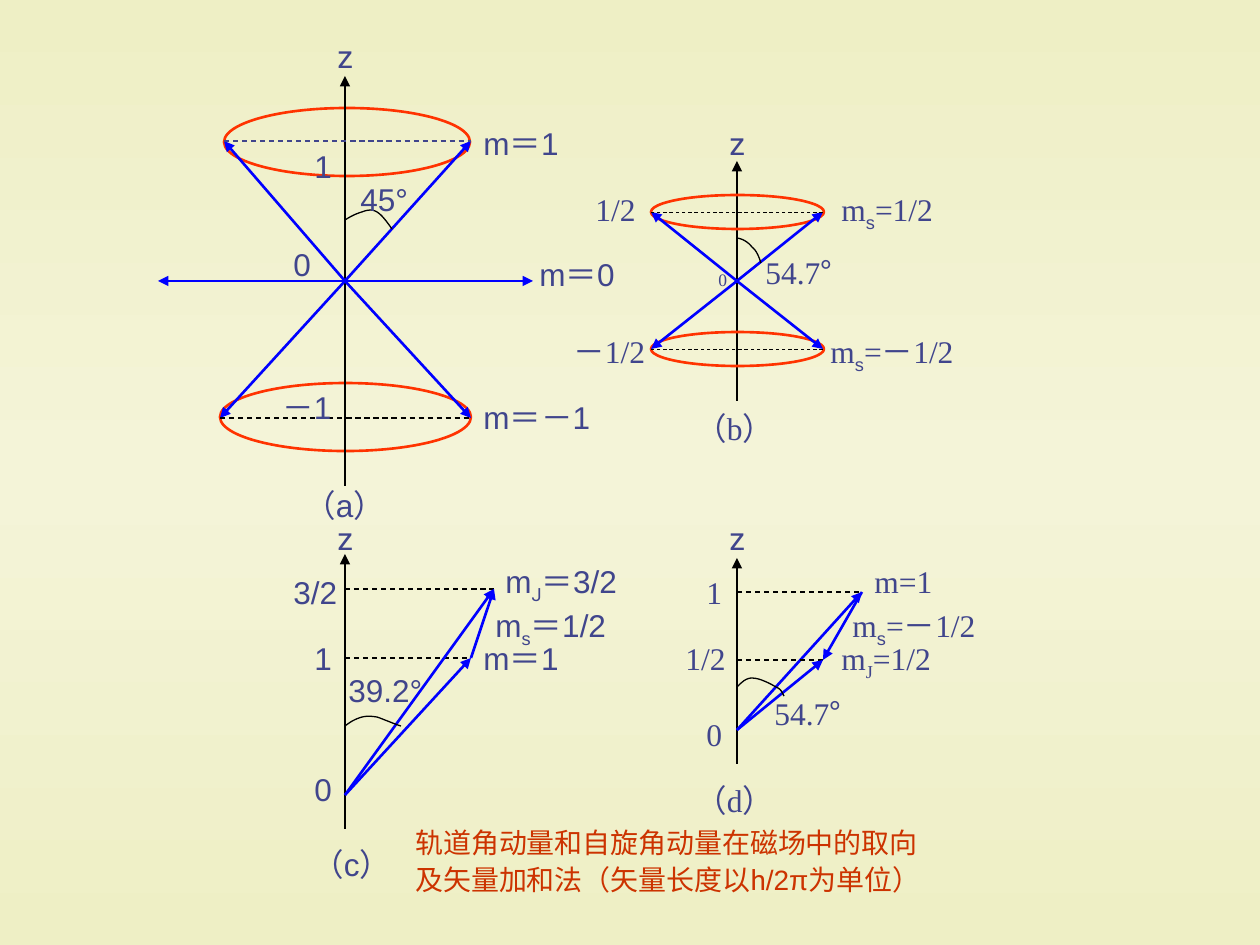
from copy import deepcopy

from lxml import etree
from pptx import Presentation
from pptx.dml.color import RGBColor
from pptx.enum.dml import MSO_LINE
from pptx.enum.shapes import MSO_CONNECTOR, MSO_SHAPE
from pptx.oxml.ns import qn
from pptx.util import Pt

PX = 914400 / 126
STRAIGHT = MSO_CONNECTOR.STRAIGHT
OVAL = MSO_SHAPE.OVAL
DASH = MSO_LINE.DASH

BLACK = RGBColor(0x00, 0x00, 0x00)
BLUE = RGBColor(0x00, 0x00, 0xFF)
ORANGE = RGBColor(0xFF, 0x33, 0x00)
RED = RGBColor(0xCC, 0x33, 0x00)
INK = RGBColor(0x40, 0x45, 0x8C)
EDGE = RGBColor(0xEE, 0xEF, 0xC5)
MIDDLE = RGBColor(0xF4, 0xF4, 0xD8)

SANS, SERIF, AXIS_FONT, CJK = "Arial", "Times New Roman", "Roboto", "Noto Sans CJK SC"
LEFT_AXIS, RIGHT_AXIS = 345, 737


def emu(*lengths):
    return [round(length * PX) for length in lengths]


def paint_background(page):
    fill = page.background.fill
    fill.gradient()
    fill.gradient_angle = 90
    stop_list = page._element.find(".//" + qn("a:gsLst"))
    stop_list.insert(1, deepcopy(stop_list[0]))
    for stop, position, color in zip(fill.gradient_stops, (0, 0.5, 1), (EDGE, MIDDLE, EDGE)):
        stop.position = position
        stop.color.rgb = color


def add_line(page, start, end, color=BLACK, width=0.75, dashed=False, arrow=False):
    line = page.shapes.add_connector(STRAIGHT, *emu(*start, *end))
    line.line.color.rgb = color
    line.line.width = Pt(width)
    if dashed:
        line.line.dash_style = DASH
    if arrow:
        etree.SubElement(line.line._get_or_add_ln(), qn("a:tailEnd"), type="triangle")
    etree.SubElement(line._element.spPr, qn("a:effectLst"))


def add_vector(page, start, end):
    add_line(page, start, end, BLUE, 1.5, arrow=True)


def add_axis(page, x, bottom, top):
    add_line(page, (x, bottom), (x, top), arrow=True)


def add_ring(page, left, top, width, height):
    ring = page.shapes.add_shape(OVAL, *emu(left, top, width, height))
    ring.shadow.inherit = False
    ring.fill.background()
    ring.line.color.rgb = ORANGE
    ring.line.width = Pt(1.5)


def add_angle(page, start, *curves, steps=8):
    """Draw an angle mark along cubic curves, each (control, control, end)."""
    points = []
    corner = start
    for first, second, end in curves:
        for step in range(1, steps + 1):
            t = step / steps
            weights = ((1 - t) ** 3, 3 * t * (1 - t) ** 2, 3 * t * t * (1 - t), t ** 3)
            points.append(emu(*(
                sum(w * p for w, p in zip(weights, axis))
                for axis in zip(corner, first, second, end)
            )))
        corner = end
    builder = page.shapes.build_freeform(*emu(*start), scale=1.0)
    builder.add_line_segments(points, close=False)
    mark = builder.convert_to_shape()
    mark.shadow.inherit = False
    mark.fill.background()
    mark.line.color.rgb = BLACK
    mark.line.width = Pt(0.75)


def fill_para(para, parts, font, size, color):
    """Parts are plain strings or (text, font, is_subscript)."""
    para.font.size = Pt(size)
    para.font.color.rgb = color
    para.font.name = font
    etree.SubElement(para.font._element, qn("a:ea"), typeface=CJK)
    for part in parts:
        text, own_font, subscript = (part, None, False) if isinstance(part, str) else part
        span = para.add_run()
        span.text = text
        if own_font:
            span.font.name = own_font
        if subscript:
            span._r.get_or_add_rPr().set("baseline", "-25000")


def add_text(page, bounds, rows, font, size=18, color=INK):
    box = page.shapes.add_textbox(*emu(*bounds))
    frame = box.text_frame
    frame.word_wrap = True
    for index, parts in enumerate(rows):
        para = frame.add_paragraph() if index else frame.paragraphs[0]
        if index:
            para.space_before = Pt(2)
        fill_para(para, parts, font, size, color)


def add_labels(page, font, labels):
    for left, top, width, *parts in labels:
        add_text(page, (left, top, width, 50), [parts], font)


def draw_orbital(page):
    # (a) Orbital momentum
    origin = (LEFT_AXIS, 281)
    add_ring(page, 220, 383, 251, 68)
    add_ring(page, 224, 108, 246, 68)
    add_axis(page, LEFT_AXIS, 281, 76)
    add_line(page, origin, (LEFT_AXIS, 486))
    for tip in ((158, 281), (533, 281), (471, 141), (224, 141), (471, 418), (220, 418)):
        add_vector(page, origin, tip)
    add_line(page, (220, 418), (471, 418), dashed=True)
    add_line(page, (224, 141), (471, 141), INK, dashed=True)
    add_angle(page, (345, 220), ((350, 217), (355, 214), (362, 212)),
              ((367, 210), (372, 209), (377, 212)), ((382, 215), (387, 222), (392, 229)))
    add_labels(page, SANS, [
        (348, 174, 100, "45°"), (281, 239, 44, "0"), (302, 141, 56, "1"),
        (270, 382, 90, "－1"), (471, 118, 124, "m＝1"), (527, 249, 124, "m＝0"),
        (471, 392, 156, "m＝－1"), (292, 480, 130, "（a）"),
    ])


def draw_spin(page):
    # (b) Spin momentum
    origin = (RIGHT_AXIS, 281)
    add_axis(page, RIGHT_AXIS, 401, 161)
    for y in (212, 349):
        add_ring(page, 651, y - 17, 173, 34)
        for x in (823, 651):
            add_vector(page, origin, (x, y))
        add_line(page, (823, y), (651, y), width=0.5, dashed=True)
    add_angle(page, (737, 238), ((743, 239), (748, 242), (752, 247)),
              ((757, 251), (759, 257), (761, 263)))
    spin = ("s", SANS, True)
    add_labels(page, SERIF, [
        (561, 326, 114, "－1/2"), (583, 184, 78, "1/2"),
        (753, 247, 122, "54.7", ("°", CJK, False)),
        (818, 326, 168, "m", spin, "=－1/2"), (829, 184, 136, "m", spin, "=1/2"),
        (683, 403, 132, "（b）"),
    ])
    add_text(page, (706, 263, 40, 34), [["0"]], SERIF, size=10)


def draw_sum(page, axis, bottom, top, origin_y, orbital, total):
    """Add the axis, level lines and vector triangle of a coupling panel."""
    add_axis(page, axis, bottom, top)
    for tip in (orbital, total):
        add_line(page, (axis, tip[1]), tip, dashed=True)
        add_vector(page, (axis, origin_y), tip)
    add_vector(page, orbital, total)


def draw_parallel(page):
    # (c) Parallel coupling
    draw_sum(page, LEFT_AXIS, 829, 554, 795, (471, 658), (494, 589))
    add_angle(page, (345, 726), ((350, 722), (355, 719), (362, 717)),
              ((367, 716), (370, 716), (377, 717)), ((383, 719), (397, 725), (401, 726)))
    add_labels(page, SANS, [
        (281, 567, 90, "3/2"), (302, 633, 56, "1"), (302, 764, 46, "0"),
        (493, 556, 156, "m", ("J", AXIS_FONT, True), "＝3/2"),
        (483, 600, 179, "m", ("s", None, True), "＝1/2"),
        (471, 633, 124, "m＝1"), (336, 665, 138, "39.2°"), (300, 839, 138, "（c）"),
    ])


def draw_opposed(page):
    # (d) Opposed coupling
    draw_sum(page, RIGHT_AXIS, 764, 558, 730, (862, 592), (823, 660))
    add_angle(page, (737, 687), ((742, 682), (746, 678), (752, 678)),
              ((760, 678), (771, 684), (776, 687)), ((781, 689), (782, 692), (784, 696)))
    add_labels(page, SERIF, [
        (694, 567, 48, "1"), (673, 633, 72, "1/2"), (694, 709, 40, "0"),
        (862, 556, 96, "m=1"), (840, 600, 168, "m", ("s", SANS, True), "=－1/2"),
        (829, 633, 126, "m", ("J", None, True), "=1/2"),
        (762, 688, 136, "54.7", ("°", CJK, False)), (683, 775, 132, "（d）"),
    ])


def main():
    deck = Presentation()
    deck.slide_width, deck.slide_height = emu(1260, 945)
    page = deck.slides.add_slide(deck.slide_layouts[6])
    paint_background(page)

    for draw_panel in (draw_orbital, draw_spin, draw_parallel, draw_opposed):
        draw_panel(page)

    # Axis names
    add_labels(page, AXIS_FONT, [
        (325, 31, 56, "z"), (325, 513, 46, "z"), (717, 118, 40, "z"), (717, 513, 48, "z"),
    ])

    # Caption
    add_text(page, (403, 819, 572, 84), [
        ["轨道角动量和自旋角动量在磁场中的取向"],
        ["及矢量加和法（矢量长度以", ("h", AXIS_FONT, False), "/2π为单位）"],
    ], SANS, size=16, color=RED)

    deck.save("out.pptx")


if __name__ == "__main__":
    main()
